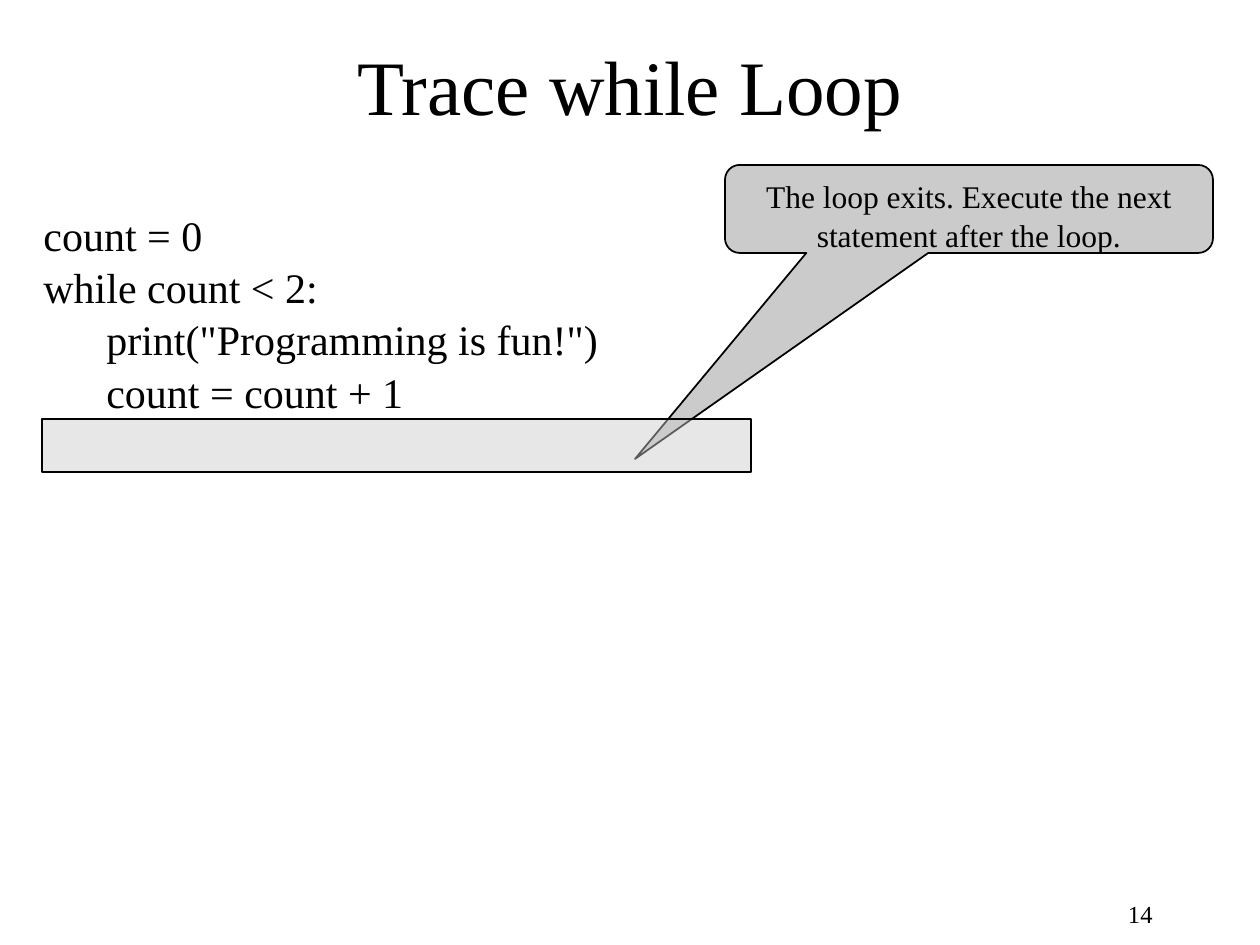
import dataclasses

import pptx
import pptx.dml.color
import pptx.enum.shapes
import pptx.enum.text
import pptx.oxml
import pptx.oxml.ns
import pptx.util

ALIGN = pptx.enum.text.PP_ALIGN
ANCHOR = pptx.enum.text.MSO_ANCHOR
SHAPE = pptx.enum.shapes.MSO_SHAPE


@dataclasses.dataclass(frozen=True)
class Theme:
    font: str = "Times New Roman"
    ink: str = "000000"
    panel: str = "CBCBCB"
    title: int = 44
    code: int = 24
    note: int = 18
    number: int = 14
    spacing: float = 1.04


def px(n):
    return pptx.util.Emu(round(n * 914400 / 126))


def rgb(value):
    return pptx.dml.color.RGBColor.from_string(value)


class Deck:
    def __init__(self, theme):
        self.theme = theme
        self.prs = pptx.Presentation()
        self.prs.slide_width, self.prs.slide_height = px(1260), px(945)
        self.slide = self.prs.slides.add_slide(self.prs.slide_layouts[5])

    def set_text(self, sp, lines, size, align, anchor, wrap=True, spacing=None):
        tf = sp.text_frame
        tf.text = "\n".join(lines)
        tf.word_wrap = wrap
        tf.vertical_anchor = anchor
        for p in tf.paragraphs:
            p.alignment = align
            p.line_spacing = spacing
            p.font.name = self.theme.font
            p.font.size = pptx.util.Pt(size)
            p.font.color.rgb = rgb(self.theme.ink)

    def title(self, text, x, y, w, h):
        sp = self.slide.shapes.title
        sp.left, sp.top, sp.width, sp.height = map(px, (x, y, w, h))
        self.set_text(sp, [text], self.theme.title, ALIGN.CENTER, ANCHOR.MIDDLE)

    def code(self, lines, x, y, w, h):
        sp = self.slide.shapes.add_textbox(*map(px, (x, y, w, h)))
        self.set_text(sp, lines, self.theme.code, ALIGN.LEFT, ANCHOR.TOP,
                      spacing=self.theme.spacing)

    def number(self, text, x, y, w, h):
        sp = self.slide.shapes.add_textbox(*map(px, (x, y, w, h)))
        self.set_text(sp, [text], self.theme.number, ALIGN.RIGHT, ANCHOR.MIDDLE, wrap=False)

    def panel(self, kind, x, y, w, h):
        sp = self.slide.shapes.add_shape(kind, *map(px, (x, y, w, h)))
        sp.shadow.inherit = False
        sp.fill.solid()
        sp.fill.fore_color.rgb = rgb(self.theme.panel)
        sp.line.color.rgb = rgb(self.theme.ink)
        sp.line.width = pptx.util.Pt(1)
        return sp

    def callout(self, text, x, y, w, h, tip_x, tip_y):
        sp = self.panel(SHAPE.ROUNDED_RECTANGULAR_CALLOUT, x, y, w, h)
        sp.adjustments[0] = (tip_x - x) / w - 0.5
        sp.adjustments[1] = (tip_y - y) / h - 0.5
        self.set_text(sp, [text], self.theme.note, ALIGN.CENTER, ANCHOR.TOP,
                      spacing=self.theme.spacing)

    def highlight(self, x, y, w, h, opacity):
        sp = self.panel(SHAPE.RECTANGLE, x, y, w, h)
        color = sp.element.spPr.find(
            pptx.oxml.ns.qn("a:solidFill") + "/" + pptx.oxml.ns.qn("a:srgbClr"))
        alpha = pptx.oxml.parse_xml(
            f'<a:alpha {pptx.oxml.ns.nsdecls("a")} val="{opacity * 1000}"/>')
        color.append(alpha)


def main():
    deck = Deck(Theme())
    deck.number("14", 903, 882, 262, 63)
    deck.title("Trace while Loop", 94, 32, 1072, 105)
    deck.code(["count = 0",
               "while count < 2:",
               '      print("Programming is fun!")',
               "      count = count + 1"], 31, 201, 735, 287)
    deck.callout("The loop exits. Execute the next statement after the loop.",
                 725, 165, 488, 88, tip_x=635, tip_y=459)
    deck.highlight(42, 419, 709, 53, opacity=45)
    deck.prs.save("out.pptx")


if __name__ == "__main__":
    main()
